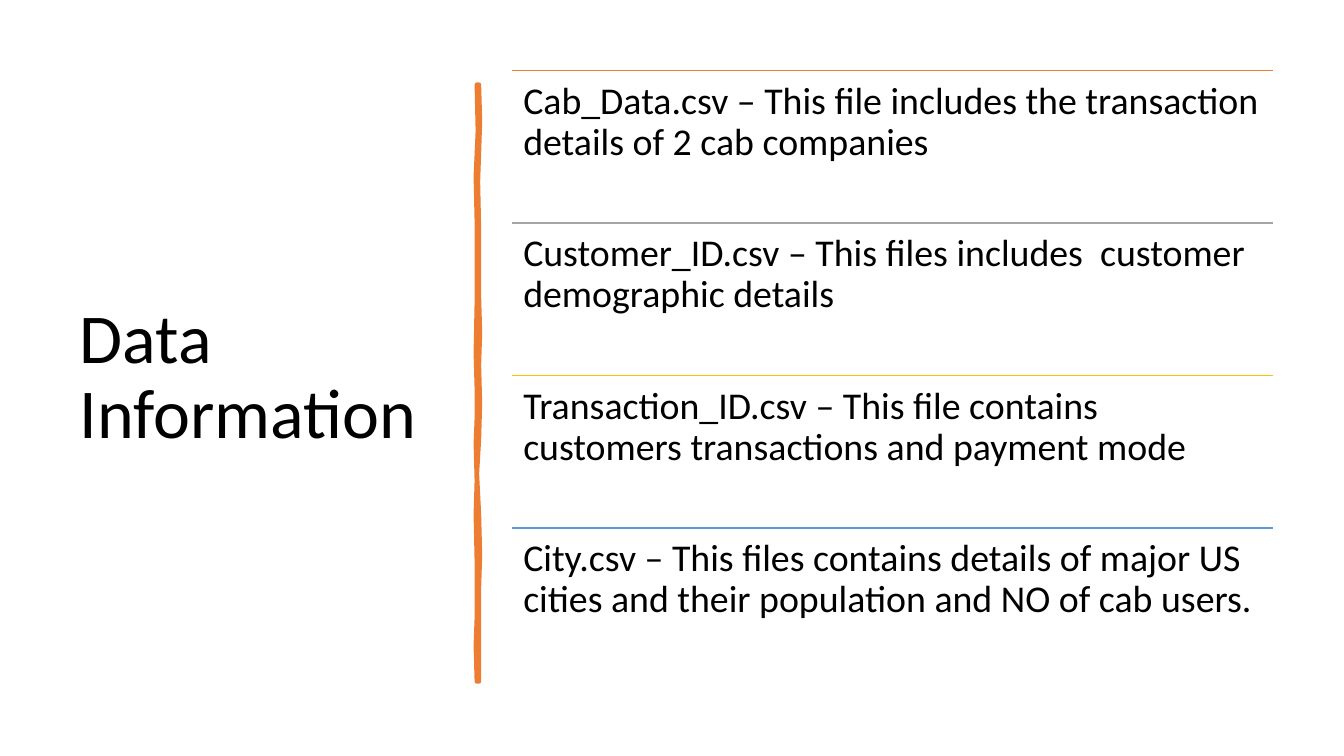
from dataclasses import dataclass

from lxml import etree
from pptx import Presentation
from pptx.dml.color import RGBColor
from pptx.enum.shapes import MSO_CONNECTOR
from pptx.enum.text import MSO_ANCHOR, MSO_AUTO_SIZE, PP_ALIGN
from pptx.oxml.ns import qn
from pptx.slide import Slide
from pptx.text.text import TextFrame
from pptx.util import Inches, Pt

STRAIGHT = MSO_CONNECTOR.STRAIGHT
TOP, MIDDLE = MSO_ANCHOR.TOP, MSO_ANCHOR.MIDDLE
LEFT = PP_ALIGN.LEFT
NO_AUTOFIT = MSO_AUTO_SIZE.NONE

BLACK = RGBColor(0x00, 0x00, 0x00)
ORANGE = RGBColor(0xED, 0x7D, 0x31)
GRAY = RGBColor(0xA5, 0xA5, 0xA5)
GOLD = RGBColor(0xFF, 0xC0, 0x00)
BLUE = RGBColor(0x5B, 0x9B, 0xD5)

FONT = "Calibri"
LIST_LEFT, LIST_TOP = 5.08, 0.7
LIST_WIDTH, ROW_HEIGHT = 7.55, 1.513
ROW_INSET = Inches(0.11)

DIVIDER_RIGHT = [
    (4.75, 0.84), (4.76, 1.2), (4.75, 1.52), (4.74, 1.8), (4.75, 2.26),
    (4.75, 2.94), (4.76, 3.3), (4.75, 3.62), (4.76, 4.0), (4.75, 4.36),
    (4.73, 4.7), (4.75, 5.1), (4.76, 5.5), (4.75, 5.84), (4.75, 6.76),
]
DIVIDER_LEFT = [
    (4.73, 6.76), (4.72, 6.4), (4.73, 6.13), (4.73, 5.57), (4.72, 5.1),
    (4.73, 4.77), (4.72, 4.4), (4.73, 4.15), (4.73, 3.86), (4.72, 3.5),
    (4.73, 3.0), (4.73, 2.5), (4.73, 2.2), (4.72, 1.75), (4.74, 1.3),
    (4.73, 0.84),
]


@dataclass(frozen=True)
class DataFile:
    description: str
    rule_color: RGBColor


DATA_FILES = [
    DataFile("Cab_Data.csv – This file includes the transaction details of 2 cab companies", ORANGE),
    DataFile("Customer_ID.csv – This files includes  customer demographic details", GRAY),
    DataFile("Transaction_ID.csv – This file contains customers transactions and payment mode ", GOLD),
    DataFile("City.csv – This files contains details of major US cities and their population and NO of cab users. ", BLUE),
]


def write_text(frame: TextFrame, text: str, size: int, anchor: MSO_ANCHOR) -> None:
    frame.text = text
    frame.word_wrap = True
    frame.auto_size = NO_AUTOFIT
    frame.vertical_anchor = anchor
    paragraph = frame.paragraphs[0]
    paragraph.alignment = LEFT
    paragraph.line_spacing = 0.9
    paragraph.font.name = FONT
    paragraph.font.size = Pt(size)
    paragraph.font.color.rgb = BLACK


def add_heading(slide: Slide) -> None:
    heading = slide.shapes.title
    heading.left, heading.top = Inches(0.69), Inches(0.7)
    heading.width, heading.height = Inches(3.74), Inches(6.11)
    write_text(heading.text_frame, "Data Information", 50, MIDDLE)


def add_divider(slide: Slide) -> None:
    start, *outline = [
        (Inches(x), Inches(y)) for x, y in DIVIDER_RIGHT + DIVIDER_LEFT
    ]
    builder = slide.shapes.build_freeform(*start)
    builder.add_line_segments(outline, close=True)
    divider = builder.convert_to_shape()
    divider.shadow.inherit = False
    divider.fill.solid()
    divider.fill.fore_color.rgb = ORANGE
    divider.line.color.rgb = ORANGE
    divider.line.width = Pt(3.25)


def add_data_file(slide: Slide, data_file: DataFile, row: int) -> None:
    left, width = Inches(LIST_LEFT), Inches(LIST_WIDTH)
    top = Inches(LIST_TOP + row * ROW_HEIGHT)
    rule = slide.shapes.add_connector(STRAIGHT, left, top, left + width, top)
    rule.line.color.rgb = data_file.rule_color
    rule.line.width = Pt(1)
    etree.SubElement(rule._element.spPr, qn("a:effectLst"))

    description = slide.shapes.add_textbox(left, top, width, Inches(ROW_HEIGHT))
    frame = description.text_frame
    frame.margin_left = frame.margin_right = ROW_INSET
    frame.margin_top = frame.margin_bottom = ROW_INSET
    write_text(frame, data_file.description, 27, TOP)


def main() -> None:
    presentation = Presentation()
    presentation.slide_width = Inches(13.33)
    presentation.slide_height = Inches(7.5)
    slide = presentation.slides.add_slide(presentation.slide_layouts[5])
    add_heading(slide)
    add_divider(slide)
    for row, data_file in enumerate(DATA_FILES):
        add_data_file(slide, data_file, row)
    presentation.save("out.pptx")


main()
